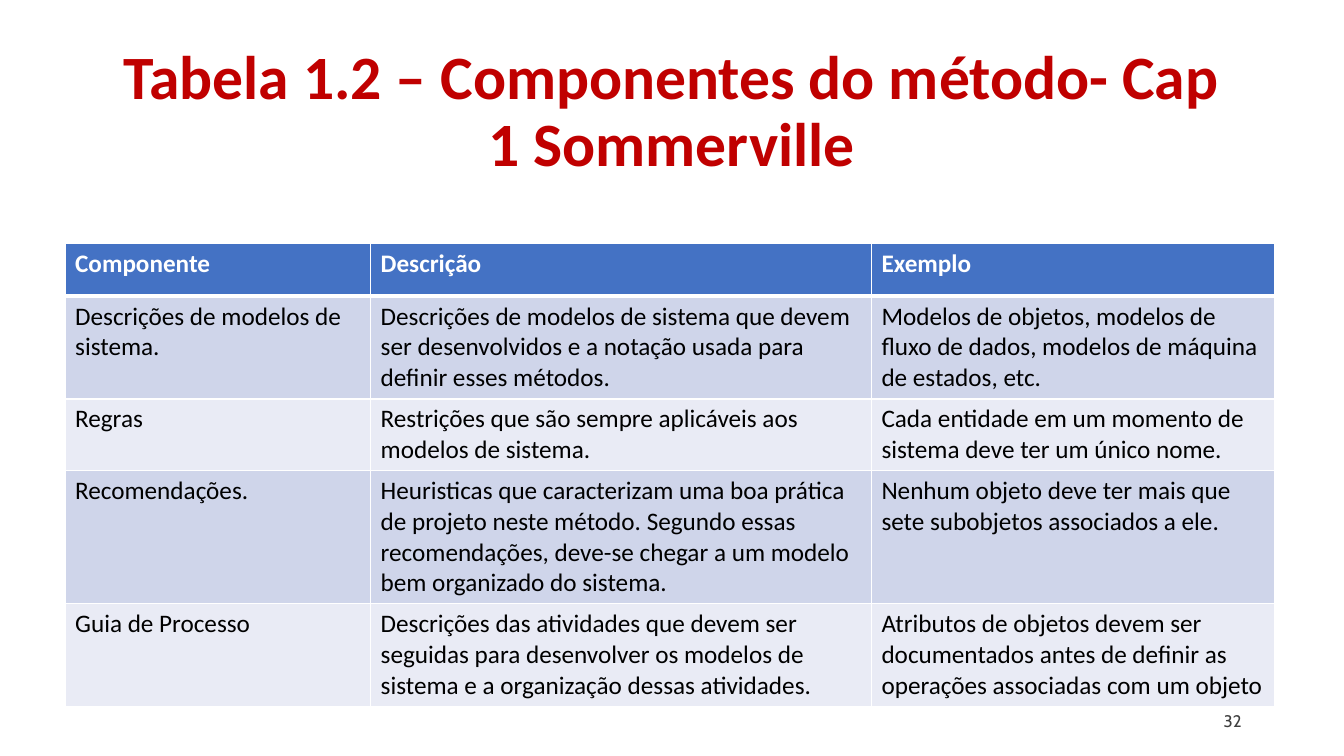
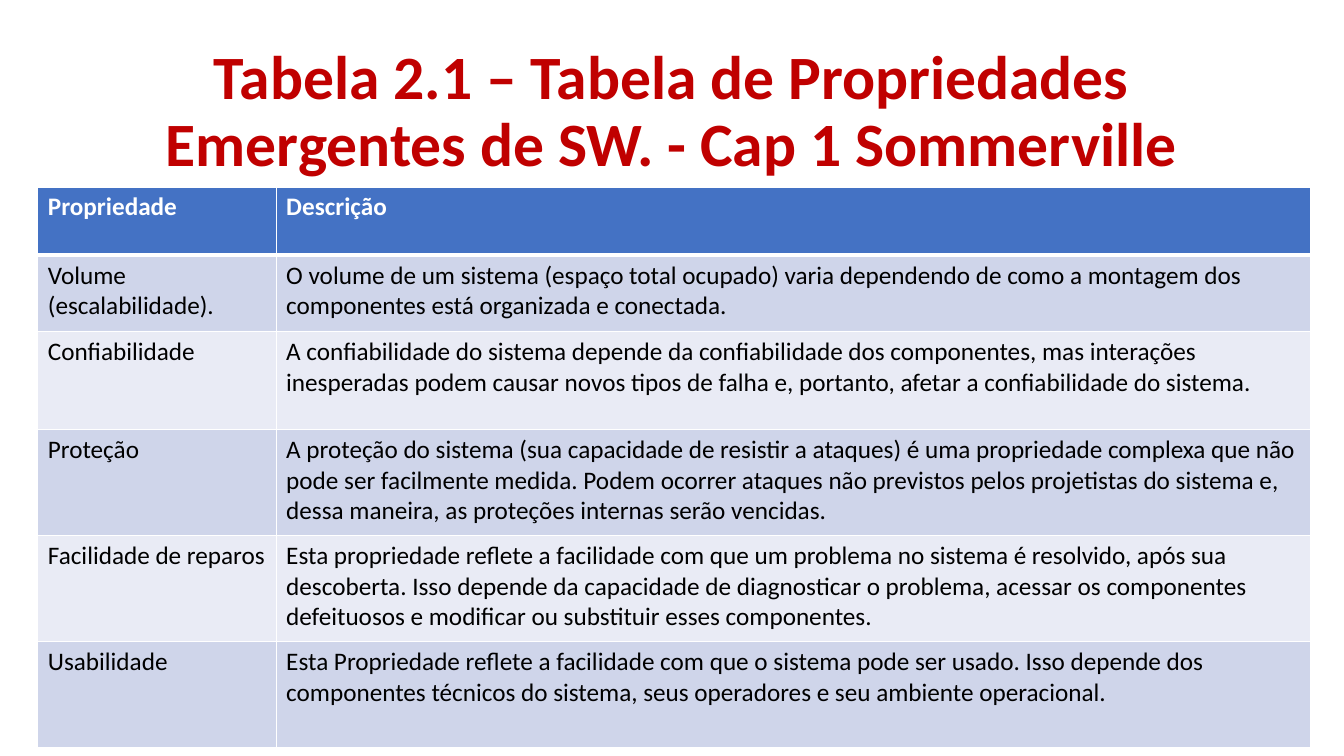
from lxml.etree import SubElement
from pptx import Presentation
from pptx.dml.color import RGBColor
from pptx.enum.text import MSO_ANCHOR, MSO_AUTO_SIZE, PP_ALIGN
from pptx.oxml.ns import qn
from pptx.util import Pt

PX = 9525
SLIDE_SIZE = (1280, 720)
TITLE_BOX = (88, 38, 1104, 139)
NUMBER_BOX = (904, 667, 288, 38)

WHITE = "FFFFFF"
HEADER_FILL = "4472C4"
BAND_FILLS = ("CFD5EA", "E9EBF5")
TITLE_FONT = {"name": "Calibri", "size": Pt(44), "bold": True, "color": "C00000"}
HEADER_FONT = {"name": "Calibri", "size": Pt(18), "bold": True, "color": WHITE}
BODY_FONT = {**HEADER_FONT, "bold": False, "color": "000000"}
NUMBER_FONT = {"name": "Cabin", "size": Pt(12), "bold": False, "color": "3F3F3F"}

METHOD_ROWS = [
    ("Componente", "Descrição", "Exemplo"),
    ("Descrições de modelos de sistema.",
     "Descrições de modelos de sistema que devem ser desenvolvidos e a notação "
     "usada para definir esses métodos.",
     "Modelos de objetos, modelos de fluxo de dados, modelos de máquina de "
     "estados, etc."),
    ("Regras",
     "Restrições que são sempre aplicáveis aos modelos de sistema.",
     "Cada entidade em um momento de sistema deve ter um único nome."),
    ("Recomendações.",
     "Heuristicas que caracterizam uma boa prática de projeto neste método. "
     "Segundo essas recomendações, deve-se chegar a um modelo bem organizado "
     "do sistema.",
     "Nenhum objeto deve ter mais que sete subobjetos associados a ele."),
    ("Guia de Processo",
     "Descrições das atividades que devem ser seguidas para desenvolver os "
     "modelos de sistema e a organização dessas atividades.",
     "Atributos de objetos devem ser documentados antes de definir as operações "
     "associadas com um objeto"),
]

PROPERTY_ROWS = [
    ("Propriedade", "Descrição"),
    ("Volume\n(escalabilidade).",
     "O volume de um sistema (espaço total ocupado) varia dependendo de como a "
     "montagem dos componentes está organizada e conectada."),
    ("Confiabilidade",
     "A confiabilidade do sistema depende da confiabilidade dos componentes, mas "
     "interações inesperadas podem causar novos tipos de falha e, portanto, "
     "afetar a confiabilidade do sistema."),
    ("Proteção",
     "A proteção do sistema (sua capacidade de resistir a ataques) é uma "
     "propriedade complexa que não pode ser facilmente medida. Podem ocorrer "
     "ataques não previstos pelos projetistas do sistema e, dessa maneira, as "
     "proteções internas serão vencidas."),
    ("Facilidade de reparos",
     "Esta propriedade reflete a facilidade com que um problema no sistema é "
     "resolvido, após sua descoberta. Isso depende da capacidade de diagnosticar "
     "o problema, acessar os componentes defeituosos e modificar ou substituir "
     "esses componentes."),
    ("Usabilidade",
     "Esta Propriedade reflete a facilidade com que o sistema pode ser usado. "
     "Isso depende dos componentes técnicos do sistema, seus operadores e seu "
     "ambiente operacional."),
]


def emu(lengths):
    return [length * PX for length in lengths]


def rgb(hex_color):
    return RGBColor.from_string(hex_color)


def write_text(frame, text, font, align=PP_ALIGN.LEFT):
    frame.text = text
    for para in frame.paragraphs:
        para.alignment = align
        for span in para.runs:
            for name, value in font.items():
                if name == "color":
                    span.font.color.rgb = rgb(value)
                else:
                    setattr(span.font, name, value)


def add_title(page, box, text):
    title = page.shapes.title
    title.left, title.top, title.width, title.height = emu(box)
    frame = title.text_frame
    write_text(frame, text, TITLE_FONT, PP_ALIGN.CENTER)
    frame.word_wrap = True
    frame.auto_size = MSO_AUTO_SIZE.NONE
    frame.vertical_anchor = MSO_ANCHOR.MIDDLE
    frame.paragraphs[0].line_spacing = 0.9


def add_page_number(page, box, number):
    frame = page.shapes.add_textbox(*emu(box)).text_frame
    frame.word_wrap = True
    frame.vertical_anchor = MSO_ANCHOR.MIDDLE
    write_text(frame, number, NUMBER_FONT, PP_ALIGN.RIGHT)


def set_borders(cell, widths):
    """Draw white borders; widths maps each side (L, R, T, B) to points."""
    properties = cell._tc.get_or_add_tcPr()
    for side, width in widths.items():
        line = SubElement(properties, qn(f"a:ln{side}"), w=str(Pt(width)))
        fill = SubElement(line, qn("a:solidFill"))
        SubElement(fill, qn("a:srgbClr"), val=WHITE)


def add_banded_table(page, corner, column_widths, row_heights, rows):
    size = (sum(column_widths), sum(row_heights))
    table = page.shapes.add_table(
        len(rows), len(column_widths), *emu(corner + size)).table
    for column, width in zip(table.columns, emu(column_widths)):
        column.width = width
    for row, height in zip(table.rows, emu(row_heights)):
        row.height = height
    for r, texts in enumerate(rows):
        is_header = r == 0
        fill = HEADER_FILL if is_header else BAND_FILLS[(r - 1) % 2]
        font = HEADER_FONT if is_header else BODY_FONT
        widths = {"L": 1, "R": 1, "T": 3 if r == 1 else 1, "B": 3 if is_header else 1}
        for c, text in enumerate(texts):
            cell = table.cell(r, c)
            set_borders(cell, widths)
            cell.fill.solid()
            cell.fill.fore_color.rgb = rgb(fill)
            write_text(cell.text_frame, text, font)


def add_table_slide(deck, title, corner, column_widths, row_heights, rows):
    page = deck.slides.add_slide(deck.slide_layouts[5])
    add_title(page, TITLE_BOX, title)
    add_banded_table(page, corner, column_widths, row_heights, rows)
    return page


def main():
    deck = Presentation()
    deck.slide_width, deck.slide_height = emu(SLIDE_SIZE)

    method_page = add_table_slide(
        deck, "Tabela 1.2 – Componentes do método- Cap 1 Sommerville",
        (62, 232), (291, 477, 384), (50, 98, 68, 127, 98), METHOD_ROWS)
    add_page_number(method_page, NUMBER_BOX, "32")

    add_table_slide(
        deck,
        "Tabela 2.1 – Tabela de Propriedades Emergentes de SW. - Cap 1 Sommerville",
        (36, 178), (227, 985), (65, 73, 93, 101, 101, 101), PROPERTY_ROWS)

    deck.save("out.pptx")


if __name__ == "__main__":
    main()
